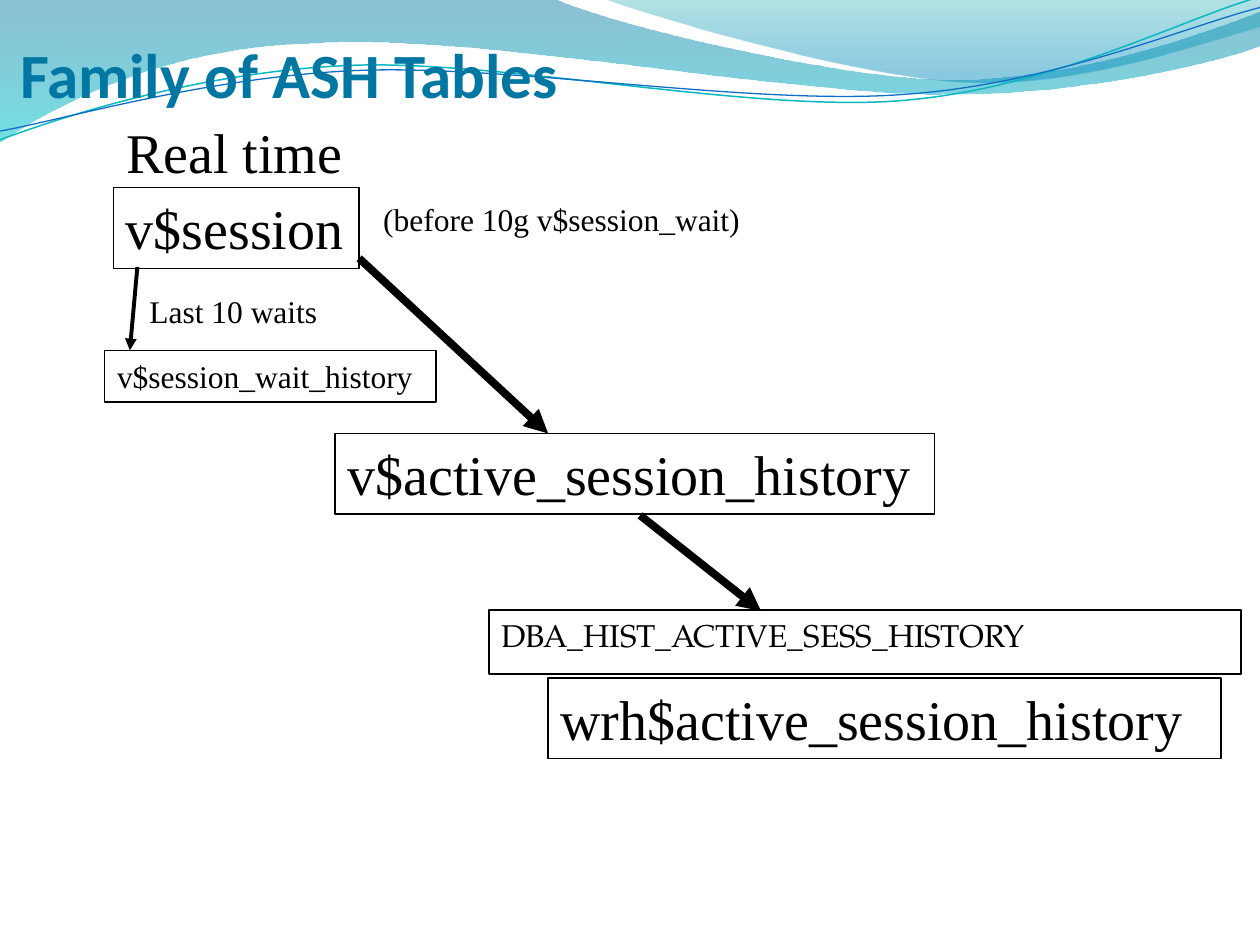
import math

from lxml import etree
from pptx import Presentation
from pptx.dml.color import RGBColor
from pptx.enum.shapes import MSO_CONNECTOR, MSO_SHAPE
from pptx.enum.text import MSO_ANCHOR, PP_ALIGN
from pptx.oxml.ns import qn
from pptx.util import Pt

STRAIGHT = MSO_CONNECTOR.STRAIGHT
RECTANGLE = MSO_SHAPE.RECTANGLE
TOP, BOTTOM = MSO_ANCHOR.TOP, MSO_ANCHOR.BOTTOM
LEFT = PP_ALIGN.LEFT

SERIF, PALATINO, SANS = "Times New Roman", "TeX Gyre Pagella", "Calibri"
BLACK, WHITE, TITLE_BLUE = "000000", "FFFFFF", "0076A3"
LARGE, SMALL = 32, 18
STRAND_TILT = -2.7

# Each outline is a start point followed by steps: two numbers draw a
# straight line, six numbers draw a cubic curve.
WIDE_WAVE = [
    (0, 0), (316.8, -0.7),
    (342.7, 12.2, 478.1, 45.4, 545.8, 45.4),
    (614.2, 45.4, 689.8, 18.7, 720, 6.5), (720.7, 25.9),
    (707.8, 31.7, 626.4, 54.7, 537.1, 54),
    (447.8, 54, 275, 20.2, 185, 24.5),
    (92.9, 25.9, 33.1, 59.8, -0.7, 81.4), (0, 0),
]
RIGHT_WAVE = [
    (344.9, -0.7),
    (366.5, 7.9, 491, 44.6, 553.7, 46.8),
    (616.3, 49.7, 691.9, 23, 720, 15.1), (720, 0), (344.9, -0.7),
]
TEAL_STRAND = [
    (0, 79.9),
    (34.6, 67, 113.8, 41, 199.4, 37.4),
    (284.4, 33.8, 427, 64.1, 513.4, 57.6),
    (599.8, 51.1, 675.4, 10.8, 718.6, -1.4),
]
BLUE_STRAND = [
    (0, 74.9),
    (33.8, 69.1, 118.1, 43.9, 203.8, 40.3),
    (290.2, 36.7, 429.8, 60.5, 516.2, 54),
    (601.9, 48.2, 677.5, 15.1, 720, 4.3),
]


def rgb(hex_code):
    return RGBColor.from_string(hex_code)


def write_text(shape, text, size=SMALL, font=SERIF, color=BLACK, bold=False,
               anchor=TOP, insets=(7.2, 3.6, 7.2, 3.6)):
    frame = shape.text_frame
    frame.word_wrap = True
    frame.vertical_anchor = anchor
    (frame.margin_left, frame.margin_top,
     frame.margin_right, frame.margin_bottom) = map(Pt, insets)
    paragraph = frame.paragraphs[0]
    paragraph.alignment = LEFT
    run = paragraph.add_run()
    run.text = text
    run.font.size = Pt(size)
    run.font.name = font
    run.font.bold = bold
    run.font.color.rgb = rgb(color)


def turn_outline(outline, pivot, degrees):
    cos, sin = math.cos(math.radians(degrees)), math.sin(math.radians(degrees))
    turned = []
    for step in outline:
        numbers = []
        for x, y in zip(step[::2], step[1::2]):
            dx, dy = x - pivot[0], y - pivot[1]
            numbers += [pivot[0] + dx * cos - dy * sin,
                        pivot[1] + dx * sin + dy * cos]
        turned.append(tuple(numbers))
    return turned


def add_outline(slide, left, top, outline, closed):
    points = [(Pt(left + x), Pt(top + y)) for step in outline
              for x, y in zip(step[::2], step[1::2])]
    builder = slide.shapes.build_freeform(*points[0], scale=1.0)
    builder.add_line_segments(points[1:], close=closed)
    shape = builder.convert_to_shape()
    shape.shadow.inherit = False
    bend_curves(shape, outline)
    return shape


def bend_curves(shape, outline):
    """Join the three straight segments of each curved step into one curve."""
    segments = iter(list(shape._element.iter(qn("a:lnTo"))))
    for step in outline[1:]:
        first = next(segments)
        if len(step) == 2:
            continue
        curve = etree.Element(qn("a:cubicBezTo"))
        first.addprevious(curve)
        for segment in (first, next(segments), next(segments)):
            curve.append(segment[0])
            segment.getparent().remove(segment)


def add_wave(slide, left, top, outline, stops):
    """Add a filled wave; stops are (position, colour, opacity percent)."""
    wave = add_outline(slide, left, top, outline, closed=True)
    wave.line.fill.background()
    wave.fill.gradient()
    wave.fill.gradient_angle = 270
    for stop, (position, color, _) in zip(wave.fill.gradient_stops, stops):
        stop.position = position
        stop.color.rgb = rgb(color)
    colors = wave._element.spPr.iter(qn("a:srgbClr"))
    for color_element, (_, _, opacity) in zip(colors, stops):
        alpha = etree.SubElement(color_element, qn("a:alpha"))
        alpha.set("val", str(opacity * 1000))


def add_strand(slide, left, top, outline, pivot, color, width):
    level = turn_outline(outline, pivot, -STRAND_TILT)
    strand = add_outline(slide, left, top, level, closed=False)
    strand.rotation = STRAND_TILT
    strand.fill.background()
    strand.line.color.rgb = rgb(color)
    strand.line.width = Pt(width)


def add_waves(slide, left, top):
    add_wave(slide, left, top, WIDE_WAVE,
             [(0, "0074A1", 45), (1, "00C6CF", 55)])
    add_wave(slide, left, top, RIGHT_WAVE,
             [(0, "00A1A9", 30), (0.8, "008BBF", 45)])
    add_strand(slide, left, top, TEAL_STRAND, (359.3, 41.4), "0AB8BF", 0.85)
    add_strand(slide, left, top, BLUE_STRAND, (359.6, 42.5), "0F6FC6", 0.75)


def add_title(slide, left, top, width, height):
    title = slide.shapes.add_textbox(*map(Pt, (left, top, width, height)))
    write_text(title, "Family of ASH Tables", size=36, font=SANS,
               color=TITLE_BLUE, bold=True, anchor=BOTTOM,
               insets=(0, 3.6, 0, 0))


def add_box(slide, left, top, width, height, text, bordered=True,
            **text_format):
    box = slide.shapes.add_shape(
        RECTANGLE, *map(Pt, (left, top, width, height)))
    box.shadow.inherit = False
    box.fill.solid()
    box.fill.fore_color.rgb = rgb(WHITE)
    if bordered:
        box.line.color.rgb = rgb(BLACK)
        box.line.width = Pt(0.75)
    else:
        box.line.fill.background()
    write_text(box, text, **text_format)


def add_arrow(slide, x1, y1, x2, y2, width):
    arrow = slide.shapes.add_connector(STRAIGHT, *map(Pt, (x1, y1, x2, y2)))
    arrow.line.color.rgb = rgb(BLACK)
    arrow.line.width = Pt(width)
    line = arrow._element.spPr.find(qn("a:ln"))
    etree.SubElement(line, qn("a:tailEnd")).set("type", "triangle")
    etree.SubElement(arrow._element.spPr, qn("a:effectLst"))


def add_table_family(slide, left, top):
    tables = [
        (4.8, 43.3, 140.4, 46.1, "v$session", LARGE, SERIF),
        (131.5, 183.7, 342.7, 46.1, "v$active_session_history", LARGE, SERIF),
        (253.2, 323.4, 384.5, 46.1, "wrh$active_session_history", LARGE, SERIF),
        (-0.2, 136.2, 189.4, 29.5, "v$session_wait_history", SMALL, SERIF),
        (219.4, 284.5, 429.8, 36.7, "DBA_HIST_ACTIVE_SESS_HISTORY", SMALL,
         PALATINO),
    ]
    arrows = [
        (18.5, 88.6, 14.2, 136.2, 2.25),
        (305.8, 230.5, 374.9, 285.2, 4.5),
        (145.2, 83.6, 253.2, 183.7, 4.5),
    ]
    labels = [
        (5, -0.2, 139.7, 46.1, "Real time", LARGE),
        (18.3, 99.6, 143.3, 36.7, "Last 10 waits", SMALL),
    ]
    for x, y, width, height, name, size, font in tables:
        add_box(slide, left + x, top + y, width, height, name,
                size=size, font=font)
    for x1, y1, x2, y2, width in arrows:
        add_arrow(slide, left + x1, top + y1, left + x2, top + y2, width)
    for x, y, width, height, text, size in labels:
        label = slide.shapes.add_textbox(
            *map(Pt, (left + x, top + y, width, height)))
        write_text(label, text, size=size)
    add_box(slide, left + 151.9, top + 46.9, 289.4, 36.7,
            "(before 10g v$session_wait)", bordered=False)


def main():
    deck = Presentation()
    deck.slide_width, deck.slide_height = Pt(720), Pt(540)
    slide = deck.slides.add_slide(deck.slide_layouts[6])
    add_waves(slide, 0, 0)
    add_title(slide, 11.5, 1.4, 612, 61.9)
    add_table_family(slide, 60, 64)
    deck.save("out.pptx")


if __name__ == "__main__":
    main()
